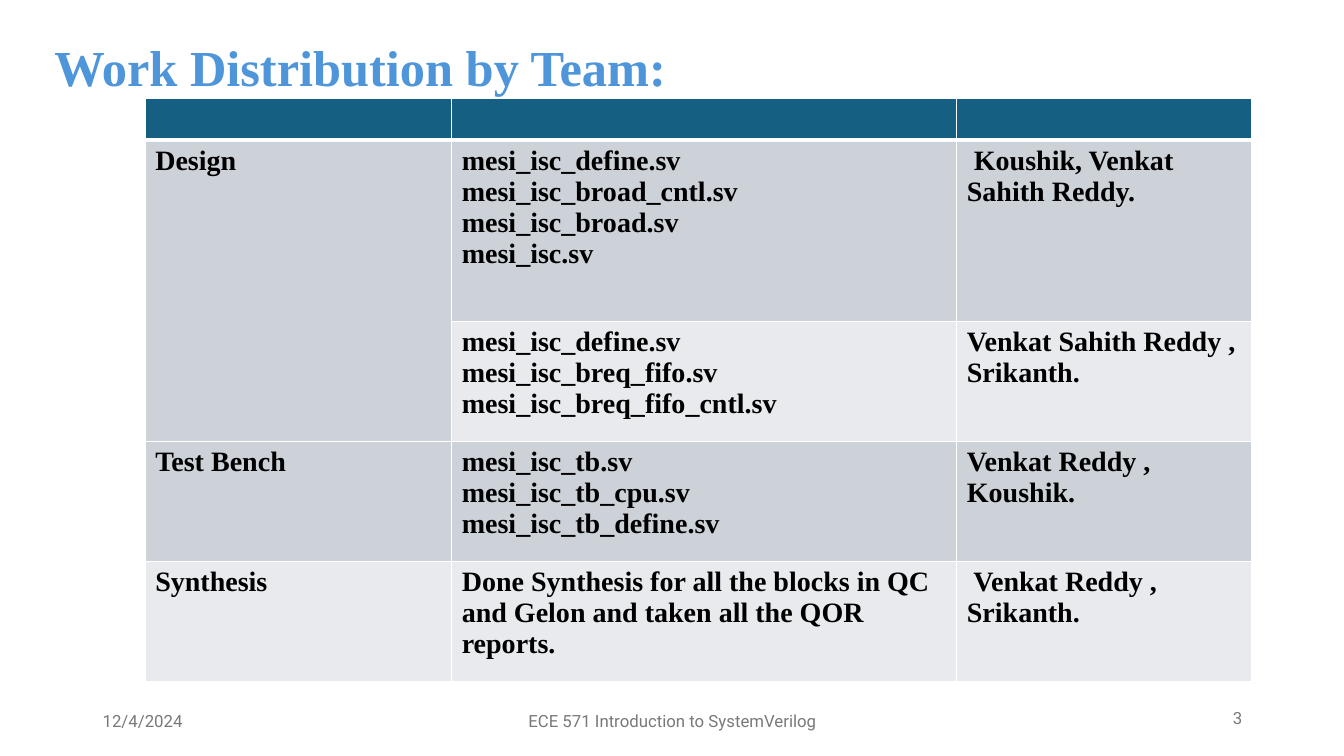
from dataclasses import dataclass

from lxml import etree
from pptx import Presentation
from pptx.dml.color import RGBColor
from pptx.enum.text import MSO_ANCHOR, PP_ALIGN
from pptx.oxml.ns import qn
from pptx.slide import Slide
from pptx.table import Table, _Cell
from pptx.text.text import TextFrame
from pptx.util import Inches, Pt

LEFT, CENTER, RIGHT = PP_ALIGN.LEFT, PP_ALIGN.CENTER, PP_ALIGN.RIGHT
TOP, MIDDLE = MSO_ANCHOR.TOP, MSO_ANCHOR.MIDDLE


@dataclass(frozen=True)
class TextStyle:
    font: str
    size: int
    color: str
    bold: bool = False


@dataclass(frozen=True)
class Theme:
    title: TextStyle = TextStyle("Times New Roman", 36, "4E95D9", True)
    cell: TextStyle = TextStyle("Times New Roman", 20, "000000", True)
    footer: TextStyle = TextStyle("Roboto", 12, "797979")
    header_fill: str = "156082"
    bands: tuple[str, str] = ("CCD2D8", "E8EAED")
    border: str = "FFFFFF"
    thin: int = 1
    thick: int = 3


@dataclass(frozen=True)
class Label:
    text: str
    left: float
    top: float
    width: float
    height: float
    style: TextStyle
    align: PP_ALIGN = LEFT
    anchor: MSO_ANCHOR = MIDDLE


@dataclass(frozen=True)
class WorkRow:
    height: float
    task: str = ""
    work: tuple[str, ...] = ()
    members: str = ""


THEME = Theme()
COLUMN_WIDTHS = (3.04, 5.01, 2.92)
TITLE = Label("Work Distribution by Team:", 0.44, 0.38, 11.97, 6.38, THEME.title, anchor=TOP)
FOOTERS = (
    Label("12/4/2024", 0.92, 6.95, 3, 0.4, THEME.footer),
    Label("ECE 571 Introduction to SystemVerilog", 4.42, 6.95, 4.5, 0.4, THEME.footer, CENTER),
    Label("3", 9.42, 6.92, 3, 0.4, THEME.footer, RIGHT),
)
ROWS = (
    WorkRow(0.41),
    WorkRow(1.8, "Design",
            ("mesi_isc_define.sv", "mesi_isc_broad_cntl.sv", "mesi_isc_broad.sv", "mesi_isc.sv"),
            " Koushik, Venkat Sahith Reddy."),
    WorkRow(1.19, "",
            ("mesi_isc_define.sv", "mesi_isc_breq_fifo.sv", "mesi_isc_breq_fifo_cntl.sv"),
            "Venkat Sahith Reddy , Srikanth."),
    WorkRow(1.19, "Test Bench",
            ("mesi_isc_tb.sv", "mesi_isc_tb_cpu.sv", "mesi_isc_tb_define.sv"),
            "Venkat Reddy , Koushik."),
    WorkRow(1.19, "Synthesis",
            ("Done Synthesis for all the blocks in QC and Gelon and taken all the QOR reports.",),
            " Venkat Reddy , Srikanth."),
)


def write_lines(tf: TextFrame, lines: tuple[str, ...], style: TextStyle,
                align: PP_ALIGN = LEFT) -> None:
    for i, line in enumerate(lines):
        p = tf.add_paragraph() if i else tf.paragraphs[0]
        p.alignment = align
        r = p.add_run()
        r.text = line
        r.font.name = style.font
        r.font.size = Pt(style.size)
        r.font.bold = style.bold
        r.font.color.rgb = RGBColor.from_string(style.color)


def add_label(s: Slide, label: Label) -> TextFrame:
    box = s.shapes.add_textbox(Inches(label.left), Inches(label.top),
                               Inches(label.width), Inches(label.height))
    tf = box.text_frame
    tf.word_wrap = True
    tf.vertical_anchor = label.anchor
    write_lines(tf, (label.text,), label.style, label.align)
    return tf


def set_borders(cell: _Cell, top: int, bottom: int) -> None:
    """Draw all four cell edges; the widths of the level ones are in points."""
    tc_pr = cell._tc.get_or_add_tcPr()
    widths = {"a:lnL": THEME.thin, "a:lnR": THEME.thin, "a:lnT": top, "a:lnB": bottom}
    for tag, width in widths.items():
        ln = etree.SubElement(tc_pr, qn(tag), w=str(Pt(width)))
        fill = etree.SubElement(ln, qn("a:solidFill"))
        etree.SubElement(fill, qn("a:srgbClr"), val=THEME.border)


def fill_row(table: Table, i: int, row: WorkRow) -> None:
    table.rows[i].height = Inches(row.height)
    color = THEME.bands[(i - 1) % 2] if i else THEME.header_fill
    top = THEME.thick if i == 1 else THEME.thin
    bottom = THEME.thick if i == 0 else THEME.thin
    texts = ((row.task,), row.work, (row.members,))
    for j, lines in enumerate(texts):
        cell = table.cell(i, j)
        set_borders(cell, top, bottom)
        cell.fill.solid()
        cell.fill.fore_color.rgb = RGBColor.from_string(color)
        if any(lines):
            write_lines(cell.text_frame, lines, THEME.cell)


def add_work_table(s: Slide) -> None:
    height = sum(row.height for row in ROWS)
    frame = s.shapes.add_table(len(ROWS), len(COLUMN_WIDTHS), Inches(1.44), Inches(0.98),
                               Inches(sum(COLUMN_WIDTHS)), Inches(height))
    table = frame.table
    for column, width in zip(table.columns, COLUMN_WIDTHS):
        column.width = Inches(width)
    for i, row in enumerate(ROWS):
        fill_row(table, i, row)
    table.cell(1, 0).merge(table.cell(2, 0))


def main() -> None:
    prs = Presentation()
    prs.slide_width, prs.slide_height = Inches(13.33), Inches(7.5)
    s = prs.slides.add_slide(prs.slide_layouts[6])
    p = add_label(s, TITLE).paragraphs[0]
    p.line_spacing = 0.9
    p.space_before = Pt(10)
    for footer in FOOTERS:
        add_label(s, footer)
    add_work_table(s)
    prs.save("out.pptx")


if __name__ == "__main__":
    main()
